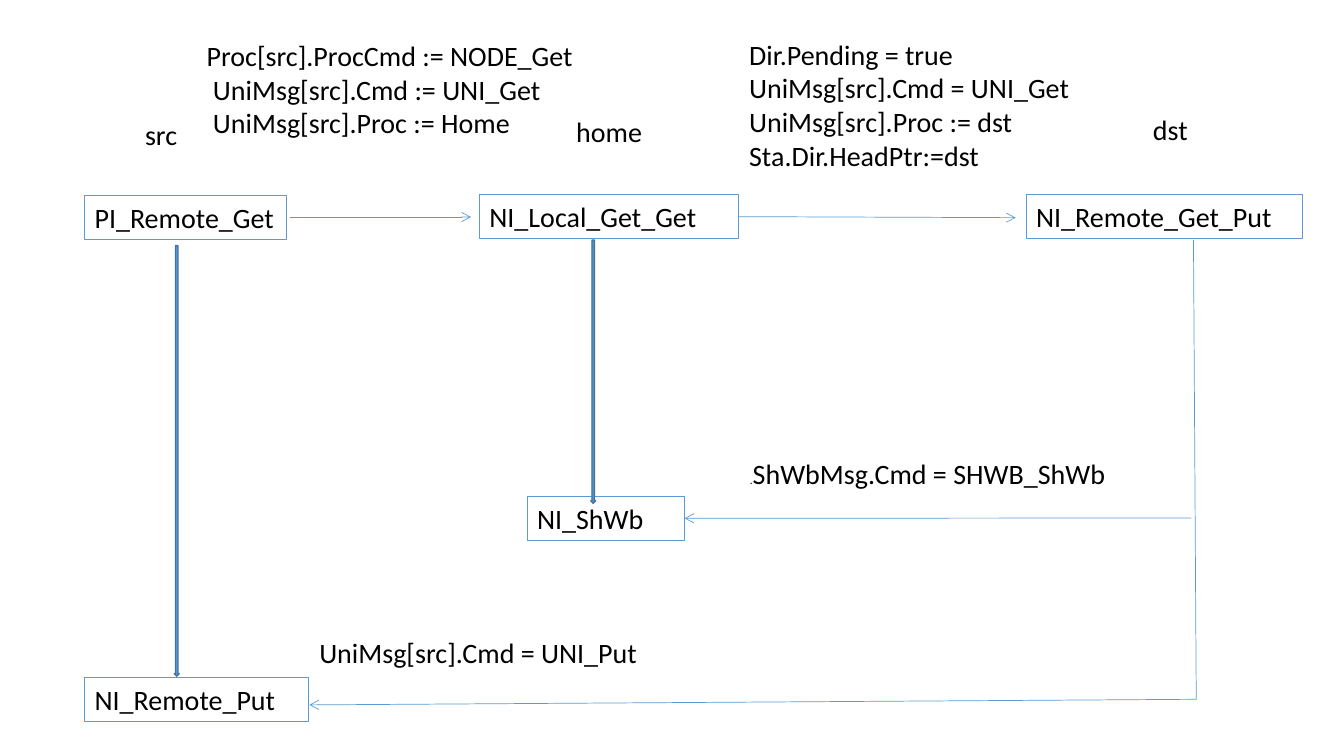
"""Builds the slide showing how a remote Get passes between src, home and dst."""
from lxml import etree
from pptx import Presentation
from pptx.dml.color import RGBColor
from pptx.enum.shapes import MSO_CONNECTOR as Connector, MSO_SHAPE as Shape
from pptx.enum.text import MSO_ANCHOR as Anchor, MSO_AUTO_SIZE as AutoSize, PP_ALIGN as Align
from pptx.oxml.ns import qn
from pptx.util import Pt

COLORS = {"text": "000000", "blue": "5B9BD5", "edge": "43739E"}
FONT, SIZE, SMALL = "Calibri", 20, 8
ROW_HEIGHT = 31.5
RIGHT_SIDE = 3

STEPS = {
    "PI_Remote_Get": (60.5, 139.5, 144),
    "NI_Local_Get_Get": (342.5, 139, 185),
    "NI_Remote_Get_Put": (733, 139, 197.5),
    "NI_Remote_Put": (60.5, 484, 160),
    "NI_ShWb": (376.5, 354.5, 112.5),
}

NOTES = [
    ((96.5, 80.5, 38, ROW_HEIGHT), False, [[("src", SIZE)]]),
    ((404.5, 78.5, 67.5, ROW_HEIGHT), True, [[("home", SIZE)]]),
    ((816.5, 77, 62.5, ROW_HEIGHT), True, [[("dst", SIZE)]]),
    ((140.5, 24, 305.5, 80), True, [
        [("Proc[src].ProcCmd := NODE_Get", SIZE)],
        [(" UniMsg[src].Cmd := UNI_Get", SIZE)],
        [(" UniMsg[src].Proc := Home", SIZE)],
    ]),
    ((528, 23, 295, 104.5), True, [
        [("Dir.Pending = true", SIZE)],
        [("UniMsg[src].Cmd = UNI_Get", SIZE)],
        [("UniMsg[src].Proc := dst", SIZE)],
        [("Sta.Dir.HeadPtr:=dst", SIZE)],
    ]),
    ((528.5, 322.5, 270.5, ROW_HEIGHT), False,
     [[(".", SMALL), ("ShWbMsg.Cmd = SHWB_ShWb", SIZE)]]),
    ((221, 450.5, 243.5, ROW_HEIGHT), False, [[("UniMsg[src].Cmd = UNI_Put", SIZE)]]),
]

WAITS = [(124.5, 175.5, 3.5, 307.5), (422, 171.5, 3.5, 188)]

MESSAGES = [
    ((207.5, 155), (336.5, 155), True),
    ("NI_Local_Get_Get", (725.5, 155.5), True),
    ((851, 370), "NI_ShWb", True),
    ((852.5, 171.5), (854.5, 499.5), False),
    ((854.5, 499.5), (221, 503.5), True),
]


def color(name):
    return RGBColor.from_string(COLORS[name])


def points(lengths):
    return [Pt(length) for length in lengths]


def write(shape, paragraphs, wrap=True):
    frame = shape.text_frame
    frame.word_wrap = wrap
    frame.auto_size = AutoSize.SHAPE_TO_FIT_TEXT
    frame.vertical_anchor = Anchor.TOP
    for index, pieces in enumerate(paragraphs):
        paragraph = frame.add_paragraph() if index else frame.paragraphs[0]
        paragraph.alignment = Align.LEFT
        for text, size in pieces:
            run = paragraph.add_run()
            run.text = text
            run.font.name = FONT
            run.font.size = Pt(size)
            run.font.color.rgb = color("text")


def add_step(slide, name, place):
    step = slide.shapes.add_shape(Shape.RECTANGLE, *points((*place, ROW_HEIGHT)))
    step.shadow.inherit = False
    step.fill.background()
    step.line.color.rgb = color("blue")
    step.line.width = Pt(0.75)
    write(step, [[(name, SIZE)]])
    return step


def add_wait(slide, place):
    wait = slide.shapes.add_shape(Shape.DOWN_ARROW, *points(place))
    wait.shadow.inherit = False
    wait.fill.solid()
    wait.fill.fore_color.rgb = color("blue")
    wait.line.color.rgb = color("edge")
    wait.line.width = Pt(1)


def add_message(slide, steps, start, end, arrow):
    first, last = [(0, 0) if spot in steps else spot for spot in (start, end)]
    message = slide.shapes.add_connector(Connector.STRAIGHT, *points((*first, *last)))
    if start in steps:
        message.begin_connect(steps[start], RIGHT_SIDE)
    if end in steps:
        message.end_connect(steps[end], RIGHT_SIDE)
    message.line.color.rgb = color("blue")
    message.line.width = Pt(0.5)
    if arrow:
        etree.SubElement(message.line._get_or_add_ln(), qn("a:tailEnd"), type="arrow")
    etree.SubElement(message._element.spPr, qn("a:effectLst"))


def main():
    deck = Presentation()
    deck.slide_width, deck.slide_height = Pt(960), Pt(540)
    slide = deck.slides.add_slide(deck.slide_layouts[6])
    steps = {name: add_step(slide, name, place) for name, place in STEPS.items()}
    for place, wrap, paragraphs in NOTES:
        write(slide.shapes.add_textbox(*points(place)), paragraphs, wrap)
    for place in WAITS:
        add_wait(slide, place)
    for start, end, arrow in MESSAGES:
        add_message(slide, steps, start, end, arrow)
    deck.save("out.pptx")


if __name__ == "__main__":
    main()
